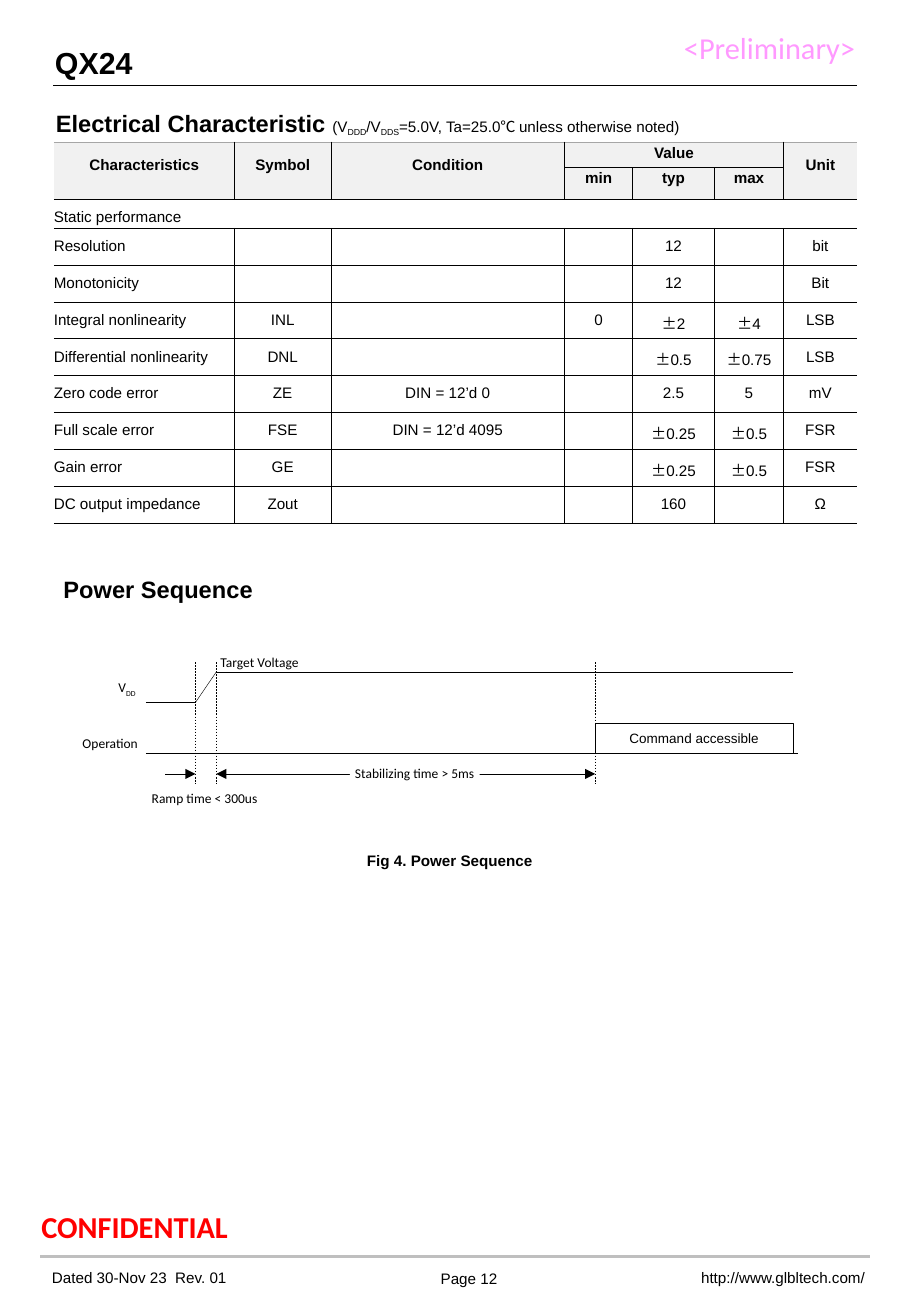
import lxml.etree
import pptx
import pptx.dml.color
import pptx.enum.dml
import pptx.enum.shapes
import pptx.enum.text
import pptx.oxml
import pptx.oxml.ns
import pptx.util

Pt = pptx.util.Pt
Align = pptx.enum.text.PP_ALIGN
Anchor = pptx.enum.text.MSO_ANCHOR
qn = pptx.oxml.ns.qn

BLACK, WHITE, SHADE = "000000", "FFFFFF", "F1F1F1"
SANS, BODY, ASIAN = "Arial", "Calibri", "Noto Sans CJK KR"
HEAD = ["Characteristics", "Symbol", "Condition", "Value", "", "", "Unit"]
RANGE = ["", "", "", "min", "typ", "max", ""]
ROWS = [
    ["Resolution", "", "", "", "12", "", "bit"],
    ["Monotonicity", "", "", "", "12", "", "Bit"],
    ["Integral nonlinearity", "INL", "", "0", "±2", "±4", "LSB"],
    ["Differential nonlinearity", "DNL", "", "", "±0.5", "±0.75", "LSB"],
    ["Zero code error", "ZE", "DIN = 12’d 0", "", "2.5", "5", "mV"],
    ["Full scale error", "FSE", "DIN = 12’d 4095", "", "±0.25", "±0.5", "FSR"],
    ["Gain error", "GE", "", "", "±0.25", "±0.5", "FSR"],
    ["DC output impedance", "Zout", "", "", "160", "", "Ω"],
]
WIDTHS = [107.2, 57, 138.6, 40.3, 48.6, 40.9, 43.8]
HEIGHTS = [14.8, 18.4, 17.2] + [21.85] * len(ROWS)
RAMP, TARGET, READY, FINISH = 115.9, 128.2, 352.8, 470.2
LOW, HIGH, BASE, ARROW = 416.2, 398.2, 446.4, 458.6


def color(text):
    return pptx.dml.color.RGBColor.from_string(text)


def style(font, size, face, ink=BLACK, bold=False):
    font.size, font.name, font.bold = Pt(size), face, bold
    font.color.rgb = color(ink)


def add_run(para, text, drop=0):
    run = para.add_run()
    run.text = text
    props = run._r.get_or_add_rPr()
    if drop:
        props.set("baseline", str(-1000 * drop))
    if text[0] in "±℃":
        run.font.name = ASIAN
        lxml.etree.SubElement(props, qn("a:ea"), typeface=ASIAN)
    return run


def set_frame(frame, anchor=Anchor.MIDDLE):
    frame.margin_left = frame.margin_right = 0
    frame.margin_top = frame.margin_bottom = 0
    frame.word_wrap = True
    frame.auto_size = pptx.enum.text.MSO_AUTO_SIZE.NONE
    frame.vertical_anchor = anchor


def write(frame, parts, size, face, ink=BLACK, bold=False, align=Align.LEFT):
    set_frame(frame)
    para = frame.paragraphs[0]
    para.alignment = align
    style(para.font, size, face, ink, bold)
    for part in parts:
        add_run(para, *part)


def add_label(slide, text, box, size, face, ink=BLACK, bold=False, align=Align.LEFT):
    shape = slide.shapes.add_textbox(*map(Pt, box))
    parts = [(text,)] if isinstance(text, str) else text
    write(shape.text_frame, parts, size, face, ink, bold, align)


def add_box(slide, text, box, face, fill=None, line=None):
    shape = slide.shapes.add_shape(pptx.enum.shapes.MSO_SHAPE.RECTANGLE, *map(Pt, box))
    shape.shadow.inherit = False
    if fill:
        shape.fill.solid()
        shape.fill.fore_color.rgb = color(fill)
    else:
        shape.fill.background()
    if line:
        shape.line.color.rgb = color(line)
        shape.line.width = Pt(0.25)
    else:
        shape.line.fill.background()
    write(shape.text_frame, [(text,)], 8, face, align=Align.CENTER)


def add_line(slide, x, y, right, low, ink=BLACK, width=0.25, dash=False, tips=()):
    kind = pptx.enum.shapes.MSO_CONNECTOR.STRAIGHT
    line = slide.shapes.add_connector(kind, Pt(x), Pt(y), Pt(right), Pt(low))
    line.line.color.rgb = color(ink)
    line.line.width = Pt(width)
    if dash:
        line.line.dash_style = pptx.enum.dml.MSO_LINE.DASH
    for tip in tips:
        lxml.etree.SubElement(line.line._get_or_add_ln(), qn("a:" + tip), type="triangle")
    lxml.etree.SubElement(line._element.spPr, qn("a:effectLst"))


def set_edge(cell, index, side, ink=None, width=0.25):
    edge = lxml.etree.Element(qn("a:ln" + side), w=str(Pt(width)))
    if ink:
        fill = lxml.etree.SubElement(edge, qn("a:solidFill"))
        lxml.etree.SubElement(fill, qn("a:srgbClr"), val=ink)
    else:
        lxml.etree.SubElement(edge, qn("a:noFill"))
    cell._tc.get_or_add_tcPr().insert(index, edge)


def fill_cell(cell, text, row, col):
    head = row < 2
    if head:
        cell.fill.solid()
        cell.fill.fore_color.rgb = color(SHADE)
    else:
        cell.fill.background()
    set_edge(cell, 0, "L", BLACK if col and row != 2 else None)
    set_edge(cell, 1, "R", BLACK if col < 6 and row != 2 else None)
    set_edge(cell, 2, "T", *(("A6A6A6", 1) if row == 0 else (BLACK,)))
    set_edge(cell, 3, "B", BLACK)
    cell.margin_left = cell.margin_right = cell.margin_bottom = 0
    tall = row == 0 and col not in (3, 4, 5)
    cell.margin_top = Pt(8.64 if tall else 1.44 if head else 5.76)
    cell.vertical_anchor = Anchor.TOP
    para = cell.text_frame.paragraphs[0]
    para.alignment = Align.CENTER if col or head else Align.LEFT
    style(para.font, 9, SANS, bold=head)
    if text.startswith("±"):
        add_run(para, "±")
        add_run(para, text[1:])
    elif text:
        add_run(para, text)
    else:
        lxml.etree.SubElement(para._p, qn("a:endParaRPr"), sz="900")


def add_specs(slide):
    rows = [HEAD, RANGE, ["Static performance"] + [""] * 6] + ROWS
    size = sum(WIDTHS), sum(HEIGHTS)
    table = slide.shapes.add_table(len(rows), 7, Pt(31.9), Pt(84.4), *map(Pt, size)).table
    table.first_row = table.horz_banding = False
    for col, width in zip(table.columns, WIDTHS):
        col.width = Pt(width)
    for row, height in zip(table.rows, HEIGHTS):
        row.height = Pt(height)
    for i, row in enumerate(rows):
        for j, text in enumerate(row):
            fill_cell(table.cell(i, j), text, i, j)
    for col in (0, 1, 2, 6):
        table.cell(0, col).merge(table.cell(1, col))
    table.cell(0, 3).merge(table.cell(0, 5))
    table.cell(2, 0).merge(table.cell(2, 6))


def add_title(slide):
    title = slide.shapes.title
    title.left, title.top, title.width, title.height = map(Pt, (33.1, 63.4, 378, 19))
    parts = [("Electrical Characteristic ",), ("(V",), ("DDD", 19), ("/V",), ("DDS", 19),
             ("=5.0V, Ta=25.0",), ("℃ ",), ("unless otherwise noted)",)]
    write(title.text_frame, parts, 9, SANS)
    style(title.text_frame.paragraphs[0].runs[0].font, 14, SANS, bold=True)


def add_timing(slide):
    add_line(slide, 86.4, LOW, RAMP, LOW)
    add_line(slide, RAMP, LOW, TARGET, HIGH)
    add_line(slide, TARGET, HIGH, FINISH, HIGH)
    add_line(slide, 86.4, BASE, 473, BASE)
    for x in (RAMP, TARGET, READY):
        add_line(slide, x, 392.4, x, 464.4, dash=True)
    add_line(slide, TARGET, ARROW, READY, ARROW, tips=("headEnd", "tailEnd"))
    add_line(slide, 97.9, ARROW, RAMP, ARROW, tips=("tailEnd",))
    add_box(slide, "Command accessible", (READY, 428.4, FINISH - READY, BASE - 428.4), SANS, line=BLACK)
    add_box(slide, "Stabilizing time > 5ms", (207.4, 450.7, 77, 15.1), BODY, WHITE)
    add_box(slide, "Ramp time < 300us", (87.1, 465.1, 68.4, 15.1), BODY, WHITE)
    add_label(slide, "Target Voltage", (130.6, 387.4, 54, 9.4), 8, BODY)
    add_label(slide, [("V",), ("DD", 25)], (70.2, 402, 20, 12), 8, BODY)
    add_label(slide, "Operation", (48.9, 434, 40, 12), 8, BODY)


def main():
    deck = pptx.Presentation()
    deck.slide_width, deck.slide_height = Pt(540), Pt(779.76)
    slide = deck.slides.add_slide(deck.slide_layouts[5])
    add_title(slide)
    add_label(slide, "QX24", (32.6, 24.7, 80, 24), 18, SANS, bold=True)
    add_label(slide, "<Preliminary>", (405.4, 17, 114, 22), 18, BODY, "FF99FF")
    add_line(slide, 31.7, 50.4, 508.3, 50.4, width=0.5)
    add_specs(slide)
    add_label(slide, "Power Sequence", (37.6, 340, 140, 18), 14, SANS, bold=True)
    add_timing(slide)
    add_label(slide, "Fig 4. Power Sequence", (217.5, 503.3, 179, 13.4), 9, SANS, bold=True)
    add_label(slide, "CONFIDENTIAL", (24.5, 715, 163, 23), 18, BODY, "FF0000", True)
    add_line(slide, 23.8, 744.5, 515.5, 744.5, "BFBFBF", 2.04)
    add_label(slide, "Dated 30-Nov 23  Rev. 01", (30.8, 750, 162, 13.6), 9, SANS)
    add_label(slide, "Page 12", (261.2, 751.8, 40, 11), 9, SANS)
    add_label(slide, "http://www.glbltech.com/", (405.4, 744.5, 117.4, 24.5), 9, SANS,
              align=Align.CENTER)
    deck.save("out.pptx")


if __name__ == "__main__":
    main()
